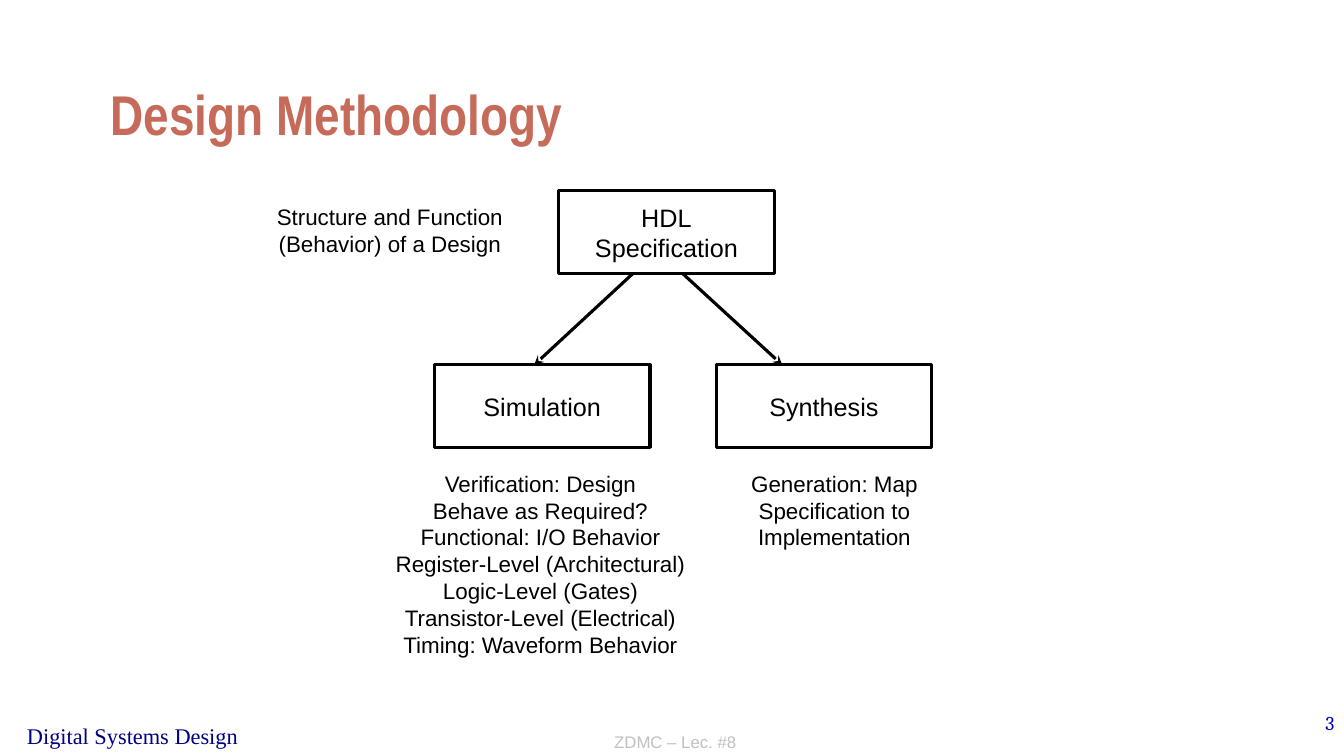
from dataclasses import dataclass

from lxml import etree
from pptx import Presentation
from pptx.dml.color import RGBColor
from pptx.enum import shapes, text
from pptx.oxml import ns
from pptx.util import Pt

LEFT, CENTER, RIGHT = text.PP_ALIGN.LEFT, text.PP_ALIGN.CENTER, text.PP_ALIGN.RIGHT
TOP, MIDDLE, BOTTOM = (text.MSO_ANCHOR.TOP, text.MSO_ANCHOR.MIDDLE,
                       text.MSO_ANCHOR.BOTTOM)


@dataclass(frozen=True)
class TextStyle:
    font: str
    size: float
    color: str
    bold: bool = False


@dataclass(frozen=True)
class Theme:
    ink: str = "000000"
    line_width: float = 2.25
    title: TextStyle = TextStyle("Arial Narrow", 40, "C66B5A", True)
    stage: TextStyle = TextStyle("Arial", 18, "000000")
    note: TextStyle = TextStyle("Arial", 16, "000000")
    course: TextStyle = TextStyle("Times New Roman", 16, "000082")
    lecture: TextStyle = TextStyle("Arial", 12, "C0C0C0")
    page: TextStyle = TextStyle("Cambria", 14, "0000B6")


THEME = Theme()
STAGE_WIDTH, STAGE_HEIGHT = 154, 59
SPEC_TOP, STEP_TOP, NOTE_TOP = 136.3, 260.6, 332


def write(frame, paragraphs, style, align, anchor, wrap):
    frame.word_wrap = wrap
    frame.vertical_anchor = anchor
    frame.text = "\n".join(paragraphs)
    for paragraph in frame.paragraphs:
        paragraph.alignment = align
        paragraph.font.name = style.font
        paragraph.font.size = Pt(style.size)
        paragraph.font.bold = style.bold
        paragraph.font.color.rgb = RGBColor.from_string(style.color)


def add_label(slide, area, paragraphs, style, align=CENTER, anchor=TOP, wrap=True):
    label = slide.shapes.add_textbox(*map(Pt, area))
    write(label.text_frame, paragraphs, style, align, anchor, wrap)


def add_stage(slide, left, top, name):
    stage = slide.shapes.add_shape(
        shapes.MSO_SHAPE.RECTANGLE, Pt(left), Pt(top), Pt(STAGE_WIDTH), Pt(STAGE_HEIGHT))
    stage.shadow.inherit = False
    stage.fill.background()
    stage.line.color.rgb = RGBColor.from_string(THEME.ink)
    stage.line.width = Pt(THEME.line_width)
    write(stage.text_frame, [name], THEME.stage, CENTER, MIDDLE, wrap=False)


def add_arrow(slide, start_x, end_x):
    """Lead from the specification down to one of the steps."""
    arrow = slide.shapes.add_connector(
        shapes.MSO_CONNECTOR.STRAIGHT, Pt(start_x), Pt(SPEC_TOP + STAGE_HEIGHT),
        Pt(end_x), Pt(STEP_TOP))
    arrow.line.color.rgb = RGBColor.from_string(THEME.ink)
    arrow.line.width = Pt(THEME.line_width)
    etree.SubElement(arrow.line._get_or_add_ln(), ns.qn("a:tailEnd"), type="stealth")
    etree.SubElement(arrow._element.spPr, ns.qn("a:effectLst"))


def add_footer(slide):
    add_label(slide, (12.2, 512, 168, 26.6), ["Digital Systems Design"],
              THEME.course, LEFT, wrap=False)
    add_label(slide, (760.3, 504, 200, 36), ["3"], THEME.page, RIGHT)
    add_label(slide, (248.4, 504, 468, 36.7), ["ZDMC – Lec. #8"],
              THEME.lecture, anchor=BOTTOM)


def add_methodology(slide):
    add_stage(slide, 399, SPEC_TOP, "HDL\vSpecification")
    add_label(slide, (189.4, 141.8, 178, 46),
              ["Structure and Function\v(Behavior) of a Design"], THEME.note, wrap=False)

    add_stage(slide, 310.3, STEP_TOP, "Simulation")
    add_arrow(slide, 452.2, 381.6)
    add_label(slide, (274.5, NOTE_TOP, 223, 142.6), [
        "Verification: Design",
        "Behave as Required?",
        "Functional: I/O Behavior",
        "Register-Level (Architectural)",
        "Logic-Level (Gates)",
        "Transistor-Level (Electrical)",
        "Timing: Waveform Behavior",
    ], THEME.note, wrap=False)

    add_stage(slide, 511.5, STEP_TOP, "Synthesis")
    add_arrow(slide, 487.5, 558.7)
    add_label(slide, (519, NOTE_TOP, 154, 65.5),
              ["Generation: Map", "Specification to", "Implementation"], THEME.note)


def main():
    deck = Presentation()
    deck.slide_width, deck.slide_height = Pt(960), Pt(540)
    slide = deck.slides.add_slide(deck.slide_layouts[6])
    add_footer(slide)
    add_label(slide, (72, 18, 816, 90), ["Design Methodology"],
              THEME.title, LEFT, BOTTOM)
    add_methodology(slide)
    deck.save("out.pptx")


if __name__ == "__main__":
    main()
